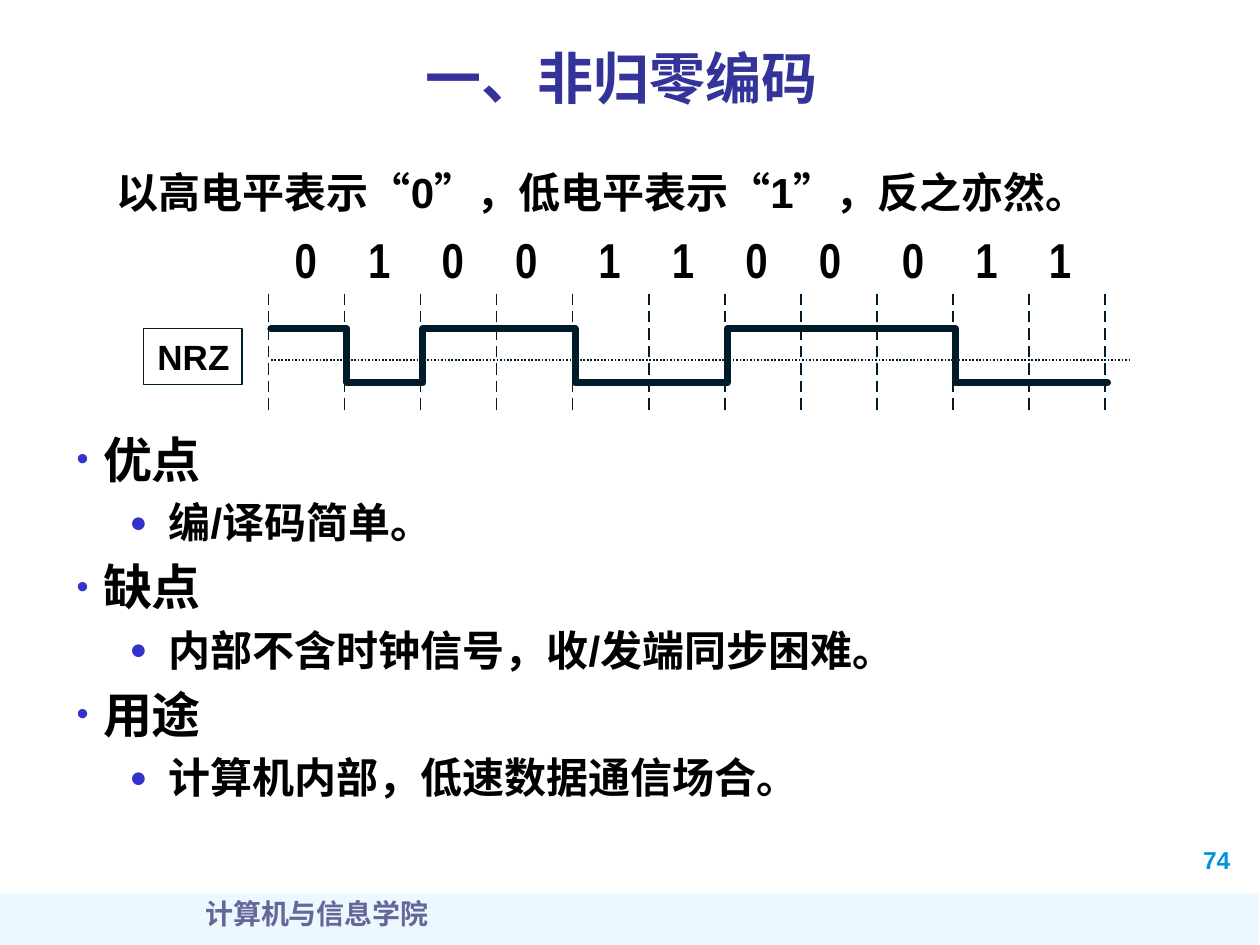
"""Build a slide on non-return-to-zero encoding."""
from lxml.etree import SubElement
from pptx import Presentation
from pptx.dml.color import RGBColor
from pptx.enum.dml import MSO_LINE
from pptx.enum.lang import MSO_LANGUAGE_ID
from pptx.enum.shapes import MSO_CONNECTOR, MSO_SHAPE
from pptx.enum.text import MSO_ANCHOR, MSO_AUTO_SIZE, PP_ALIGN
from pptx.oxml.ns import qn
from pptx.util import Inches, Pt

BLACK = RGBColor(0x00, 0x00, 0x00)
INK = RGBColor(0x00, 0x1C, 0x2A)
NAVY = RGBColor(0x33, 0x33, 0x99)
BLUE = RGBColor(0x33, 0x33, 0xCC)
CYAN = RGBColor(0x00, 0x94, 0xDE)
GREY = RGBColor(0x66, 0x66, 0x99)
SKY = RGBColor(0xA7, 0xE2, 0xFF)

BITS = "01001100011"
STEP = 6.64 / len(BITS)
HIGH, LOW = 2.61, 3.04
POINTS = [
    ("优点", "编/译码简单。"),
    ("缺点", "内部不含时钟信号，收/发端同步困难。"),
    ("用途", "计算机内部，低速数据通信场合。"),
]


def style(para, size, color, name="Arial"):
    for run in para.runs:
        font = run.font
        font.size, font.bold, font.name = Pt(size), True, name
        font.color.rgb = color
        font.language_id = MSO_LANGUAGE_ID.SIMPLIFIED_CHINESE


def add_text(shapes, box, text, size, color, name="Arial", wrap=True,
             align=PP_ALIGN.LEFT):
    shape = shapes.add_textbox(*map(Inches, box))
    frame = shape.text_frame
    frame.word_wrap = wrap
    frame.text = text
    frame.paragraphs[0].alignment = align
    style(frame.paragraphs[0], size, color, name)
    return shape


def add_line(shapes, x1, y1, x2, y2):
    line = shapes.add_connector(MSO_CONNECTOR.STRAIGHT,
                                *map(Inches, (x1, y1, x2, y2)))
    line.line.color.rgb = INK
    line.line.width = Pt(1)
    SubElement(line._element.spPr, qn("a:effectLst"))
    return line


def add_band(shapes):
    band = shapes.add_shape(MSO_SHAPE.RECTANGLE,
                            *map(Inches, (-0.01, 7.09, 10, 0.44)))
    band.shadow.inherit = False
    band.line.fill.background()
    band.fill.solid()
    band.fill.fore_color.rgb = SKY
    color = band._element.spPr.find(qn("a:solidFill"))[0]
    SubElement(color, qn("a:alpha"), val="21000")


def add_title(shapes):
    title = add_text(shapes, (1.06, 0.24, 7.75, 0.75), "一、非归零编码", 32,
                     NAVY, "Times New Roman", align=PP_ALIGN.CENTER)
    title.text_frame.vertical_anchor = MSO_ANCHOR.MIDDLE
    props = title.text_frame.paragraphs[0].runs[0]._r.rPr
    glow = SubElement(SubElement(props, qn("a:effectLst")), qn("a:outerShdw"),
                      dist="25400", dir="2700000")
    SubElement(glow, qn("a:srgbClr"), val="C0C0C0")
    props.insert(1, glow.getparent())


def add_bullet(para, mark, left, hang, first):
    props = para._p.get_or_add_pPr()
    props.set("marL", str(Inches(left)))
    props.set("indent", str(-Inches(hang)))
    if not first:
        SubElement(SubElement(props, qn("a:spcBef")), qn("a:spcPct"), val="20000")
    SubElement(SubElement(props, qn("a:buClr")), qn("a:srgbClr"), val=str(BLUE))
    SubElement(props, qn("a:buSzPct"), val="70000")
    SubElement(props, qn("a:buFont"), typeface="Arial")
    SubElement(props, qn("a:buChar"), char=mark)


def add_points(shapes):
    box = shapes.add_textbox(*map(Inches, (0.51, 3.36, 9.02, 3.13)))
    frame = box.text_frame
    frame.word_wrap = True
    for i, pair in enumerate(POINTS):
        for level, text in enumerate(pair):
            first = i == level == 0
            para = frame.paragraphs[0] if first else frame.add_paragraph()
            para.text = text
            para.level = level
            para.alignment = PP_ALIGN.JUSTIFY
            mark, left, hang, size = (("•", 0.21, 0.21, 28),
                                      ("●", 0.73, 0.31, 24))[level]
            add_bullet(para, mark, left, hang, first)
            style(para, size, BLACK)


def add_wave(shapes):
    dots = []
    for i, bit in enumerate(BITS):
        level = HIGH if bit == "0" else LOW
        dots += [(Inches(2.15 + STEP * k), Inches(level)) for k in (i, i + 1)]
    path = shapes.build_freeform(*dots[0])
    path.add_line_segments(dots[1:], close=False)
    wave = path.convert_to_shape()
    wave.shadow.inherit = False
    wave.fill.background()
    wave.line.color.rgb = INK
    wave.line.width = Pt(4)
    wave._element.spPr.find(qn("a:ln")).set("cap", "rnd")


def add_chart(shapes):
    for col in range(len(BITS) + 1):
        x = 2.13 + STEP * col
        for row in range(7):
            y = 2.33 + 0.83 / 6 * row
            add_line(shapes, x, y, x, y + 0.09)
    add_wave(shapes)
    label = add_text(shapes, (1.14, 2.61, 0.78, 0.44), "NRZ", 20, BLACK,
                     wrap=False, align=PP_ALIGN.RIGHT)
    label.line.color.rgb = INK
    label.line.width = Pt(0.75)
    axis = add_line(shapes, 2.15, 2.86, 8.98, 2.86)
    axis.line.dash_style = MSO_LINE.ROUND_DOT


def add_bits(shapes):
    for i, bit in enumerate(BITS):
        x = 2.24 + 2.41 * (i // 4) + 1.75 / 3 * (i % 4)
        add_text(shapes, (x, 1.77, 0.38, 0.57), bit, 28, BLACK,
                 "Arial Narrow", wrap=False)


def main():
    deck = Presentation()
    deck.slide_width, deck.slide_height = Inches(10), Inches(7.5)
    shapes = deck.slides.add_slide(deck.slide_layouts[6]).shapes
    add_band(shapes)
    add_text(shapes, (9.45, 6.66, 0.59, 0.33), "74", 14, CYAN)
    add_text(shapes, (0.27, 7.07, 4.49, 0.5), "计算机与信息学院", 16, GREY,
             "Times New Roman", align=PP_ALIGN.CENTER)
    add_points(shapes)
    add_chart(shapes.add_group_shape().shapes)
    intro = add_text(shapes, (0.83, 1.15, 8.51, 0.62),
                     "以高电平表示“0”，低电平表示“1”，反之亦然。", 24, BLACK)
    intro.text_frame.auto_size = MSO_AUTO_SIZE.SHAPE_TO_FIT_TEXT
    intro.text_frame.paragraphs[0].line_spacing = 1.3
    add_bits(shapes.add_group_shape().shapes)
    add_title(shapes)
    deck.save("out.pptx")


if __name__ == "__main__":
    main()
